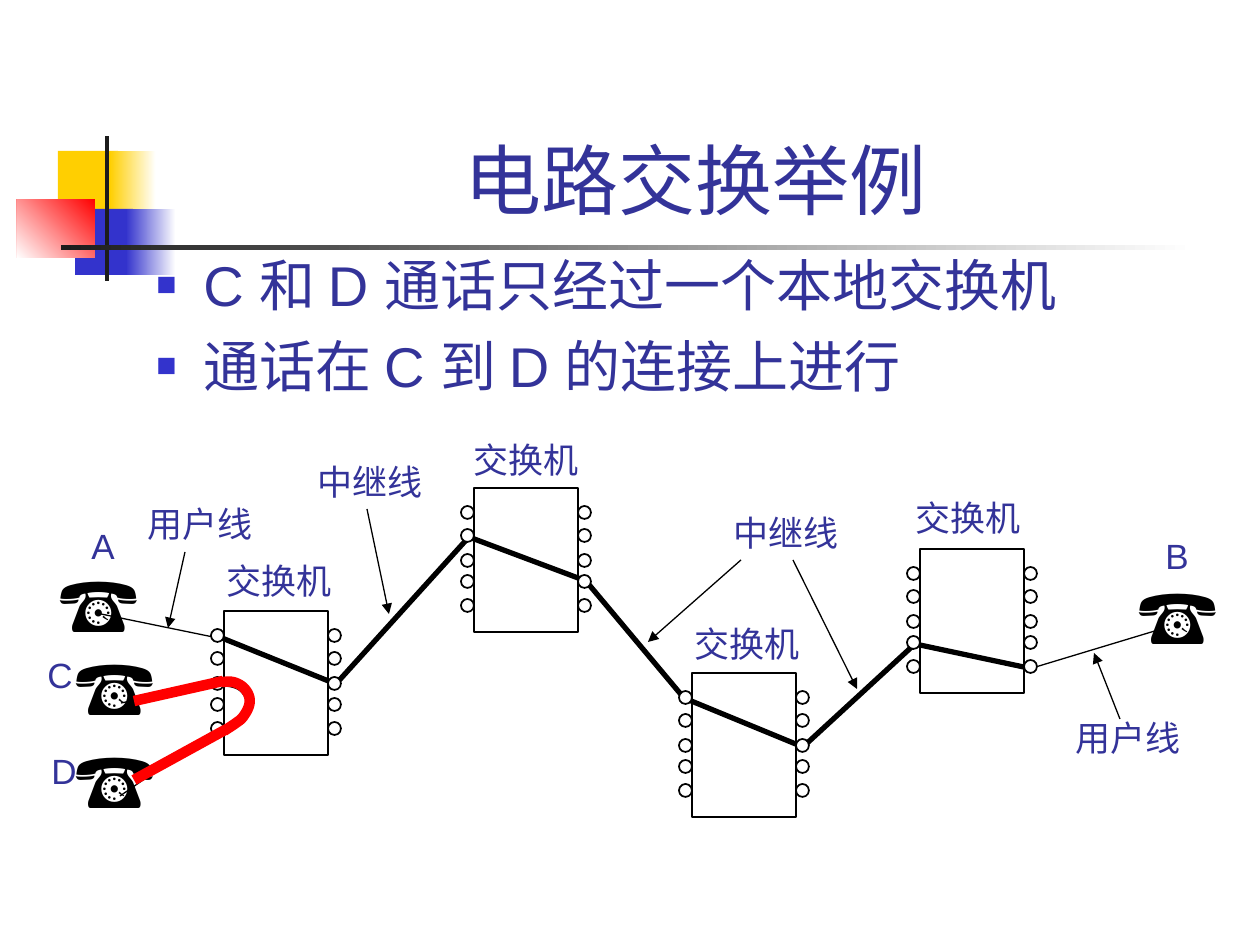
"""Build the slide showing a call between C and D in a circuit-switched network."""
from typing import NamedTuple, Optional

from lxml.etree import SubElement
from pptx import Presentation
from pptx.dml.color import RGBColor
from pptx.enum.shapes import MSO_CONNECTOR, MSO_SHAPE
from pptx.enum.text import MSO_ANCHOR, MSO_AUTO_SIZE, PP_ALIGN
from pptx.oxml.ns import qn
from pptx.util import Emu, Pt

EMU_PER_PX = 914400 / 126
COLORS = {
    "white": "FFFFFF", "black": "000000", "yellow": "FFCF01", "blue": "3333CC",
    "red": "FF0000", "charcoal": "1C1C1C", "text": "333399",
}


class Block(NamedTuple):
    left: int
    top: int
    width: int
    height: int
    color: str
    end_color: Optional[str] = None
    angle: int = 180


class Wire(NamedTuple):
    x1: int
    y1: int
    x2: int
    y2: int
    color: str = "black"
    weight: float = 0.75
    arrow: bool = False


class Switch(NamedTuple):
    left: int
    top: int


class Label(NamedTuple):
    left: int
    top: int
    width: int
    height: int
    text: str
    font: str = "Times New Roman"
    size: int = 20
    color: str = "text"


BLOCKS = [
    Block(58, 151, 60, 66, "yellow"),
    Block(110, 151, 46, 66, "white", "yellow"),
    Block(75, 209, 58, 66, "blue"),
    Block(126, 209, 50, 66, "white", "blue"),
    Block(17, 199, 78, 59, "red", "white", 135),
    Block(105, 136, 4, 145, "charcoal"),
    Block(61, 245, 1134, 5, "white", "charcoal"),
]
BULLETS = ["C 和 D 通话只经过一个本地交换机", "通话在 C 到 D 的连接上进行"]
SUBSCRIBER_LINES = [
    Wire(120, 796, 218, 728), Wire(121, 703, 219, 684),
    Wire(1029, 669, 1158, 630), Wire(101, 614, 218, 638),
]
POINTERS = [
    Wire(185, 552, 168, 628, arrow=True), Wire(1120, 719, 1094, 653, arrow=True),
    Wire(741, 560, 648, 642, arrow=True), Wire(793, 560, 857, 689, arrow=True),
    Wire(367, 509, 389, 614, arrow=True),
]
CALL_LINES = [Wire(134, 701, 223, 681, "red", 6), Wire(134, 780, 225, 730, "red", 6)]
LOCAL_LOOP = [(222, 684), (232, 685), (241, 689), (247, 697),
              (248, 708), (242, 719), (231, 726), (219, 728)]
CALL_LOOP = [(222, 682), (233, 682), (243, 687), (249, 696),
             (249, 706), (243, 717), (236, 723), (224, 731)]
TRUNK_ROUTE = [(217, 636), (336, 684), (469, 537), (586, 581),
               (684, 698), (803, 747), (915, 644), (1033, 669)]
SWITCHES = [Switch(224, 611), Switch(474, 488), Switch(692, 673), Switch(920, 549)]
SWITCH_WIDTH, SWITCH_HEIGHT, PORT_SIZE = 104, 144, 13
PORT_OFFSETS = (18, 41, 66, 87, 111)
PHONES = [Label(left, top, 106, 106, "☎", "Arial", 44, "black")
          for left, top in [(47, 549), (1126, 561), (63, 632), (63, 725)]]
LABELS = [Label(left, top, 130, 55, text) for left, top, text in [
    (214, 553, "交换机"), (461, 432, "交换机"), (682, 616, "交换机"), (903, 490, "交换机"),
    (135, 496, "用户线"), (1063, 710, "用户线"), (721, 505, "中继线"), (305, 454, "中继线"),
]]
PARTIES = [Label(left, top, 50, 55, text, "Arial") for left, top, text in [
    (1153, 528, "B"), (39, 743, "D"), (35, 647, "C"), (79, 518, "A"),
]]


def px(value: float) -> Emu:
    return Emu(round(value * EMU_PER_PX))


def rgb(name: str) -> RGBColor:
    return RGBColor.from_string(COLORS[name])


def style_runs(para, font: str, size: int, color: str) -> None:
    for span in para.runs:
        span.font.name = font
        span.font.size = Pt(size)
        span.font.color.rgb = rgb(color)


def style_line(line, color: str, weight: float) -> None:
    line.color.rgb = rgb(color)
    line.width = Pt(weight)


def add_preset(page, kind, left: int, top: int, width: int, height: int):
    shape = page.shapes.add_shape(kind, px(left), px(top), px(width), px(height))
    shape.shadow.inherit = False
    return shape


def add_block(page, block: Block) -> None:
    shape = add_preset(page, MSO_SHAPE.RECTANGLE, *block[:4])
    shape.line.fill.background()
    if block.end_color is None:
        shape.fill.solid()
        shape.fill.fore_color.rgb = rgb(block.color)
        return
    shape.fill.gradient()
    shape.fill.gradient_angle = 360 - block.angle
    for stop, name in zip(shape.fill.gradient_stops, (block.color, block.end_color)):
        stop.color.rgb = rgb(name)


def add_wire(page, wire: Wire) -> None:
    connector = page.shapes.add_connector(
        MSO_CONNECTOR.STRAIGHT, px(wire.x1), px(wire.y1), px(wire.x2), px(wire.y2))
    style_line(connector.line, wire.color, wire.weight)
    if wire.arrow:
        SubElement(connector.line._get_or_add_ln(), qn("a:tailEnd"), type="triangle")
    SubElement(connector._element.spPr, qn("a:effectLst"))


def smooth(points: list, steps: int = 6) -> list:
    """Return points along a Catmull-Rom curve through the given points."""
    padded = [points[0], *points, points[-1]]
    curve = [points[0]]
    for p0, p1, p2, p3 in zip(padded, padded[1:], padded[2:], padded[3:]):
        for step in range(1, steps + 1):
            t = step / steps
            curve.append(tuple(
                b + 0.5 * t * (c - a + t * (2 * a - 5 * b + 4 * c - d + t * (3 * (b - c) + d - a)))
                for a, b, c, d in zip(p0, p1, p2, p3)))
    return curve


def add_route(page, points: list, color: str, weight: float) -> None:
    start, *rest = [(px(x), px(y)) for x, y in points]
    builder = page.shapes.build_freeform(*start)
    builder.add_line_segments(rest, close=False)
    shape = builder.convert_to_shape()
    shape.shadow.inherit = False
    shape.fill.background()
    style_line(shape.line, color, weight)


def add_switch(page, switch: Switch) -> None:
    box = add_preset(page, MSO_SHAPE.RECTANGLE, *switch, SWITCH_WIDTH, SWITCH_HEIGHT)
    box.fill.background()
    style_line(box.line, "black", 1)
    for left in (switch.left - PORT_SIZE, switch.left + SWITCH_WIDTH):
        for offset in PORT_OFFSETS:
            port = add_preset(page, MSO_SHAPE.OVAL, left, switch.top + offset, PORT_SIZE, PORT_SIZE)
            port.fill.solid()
            port.fill.fore_color.rgb = rgb("white")
            style_line(port.line, "black", 1)


def add_label(page, label: Label) -> None:
    box = page.shapes.add_textbox(*map(px, label[:4]))
    box.text_frame.word_wrap = False
    box.text_frame.auto_size = MSO_AUTO_SIZE.SHAPE_TO_FIT_TEXT
    box.text_frame.text = label.text
    style_runs(box.text_frame.paragraphs[0], label.font, label.size, label.color)


def add_title(page, text: str) -> None:
    title = page.shapes.title
    title.left, title.top, title.width, title.height = map(px, (159, 29, 1074, 202))
    title.text_frame.text = text
    title.text_frame.vertical_anchor = MSO_ANCHOR.BOTTOM
    para = title.text_frame.paragraphs[0]
    para.alignment = PP_ALIGN.CENTER
    style_runs(para, "Arial", 44, "text")


def add_bullets(page, lines: list) -> None:
    box = page.shapes.add_textbox(*map(px, (144, 244, 1071, 567)))
    box.text_frame.word_wrap = True
    box.text_frame.text = "\n".join(lines)
    for para in box.text_frame.paragraphs:
        para.space_before = Pt(8)
        style_runs(para, "Arial", 32, "text")
        properties = para._p.get_or_add_pPr()
        properties.set("marL", str(px(47)))
        properties.set("indent", str(px(-47)))
        SubElement(SubElement(properties, qn("a:buClr")), qn("a:srgbClr"), val=COLORS["blue"])
        SubElement(properties, qn("a:buSzPct"), val="60000")
        SubElement(properties, qn("a:buFont"), typeface="Arial")
        SubElement(properties, qn("a:buChar"), char="■")


def main() -> None:
    deck = Presentation()
    deck.slide_width, deck.slide_height = px(1260), px(945)
    page = deck.slides.add_slide(deck.slide_layouts[5])
    for block in BLOCKS:
        add_block(page, block)
    add_title(page, "电路交换举例")
    add_bullets(page, BULLETS)
    add_route(page, smooth(LOCAL_LOOP), "black", 3)
    for wire in SUBSCRIBER_LINES:
        add_wire(page, wire)
    add_route(page, TRUNK_ROUTE, "black", 3)
    for switch in SWITCHES:
        add_switch(page, switch)
    for wire in POINTERS:
        add_wire(page, wire)
    for label in PHONES + LABELS + PARTIES:
        add_label(page, label)
    add_route(page, smooth(CALL_LOOP), "red", 6)
    for wire in CALL_LINES:
        add_wire(page, wire)
    deck.save("out.pptx")


if __name__ == "__main__":
    main()
